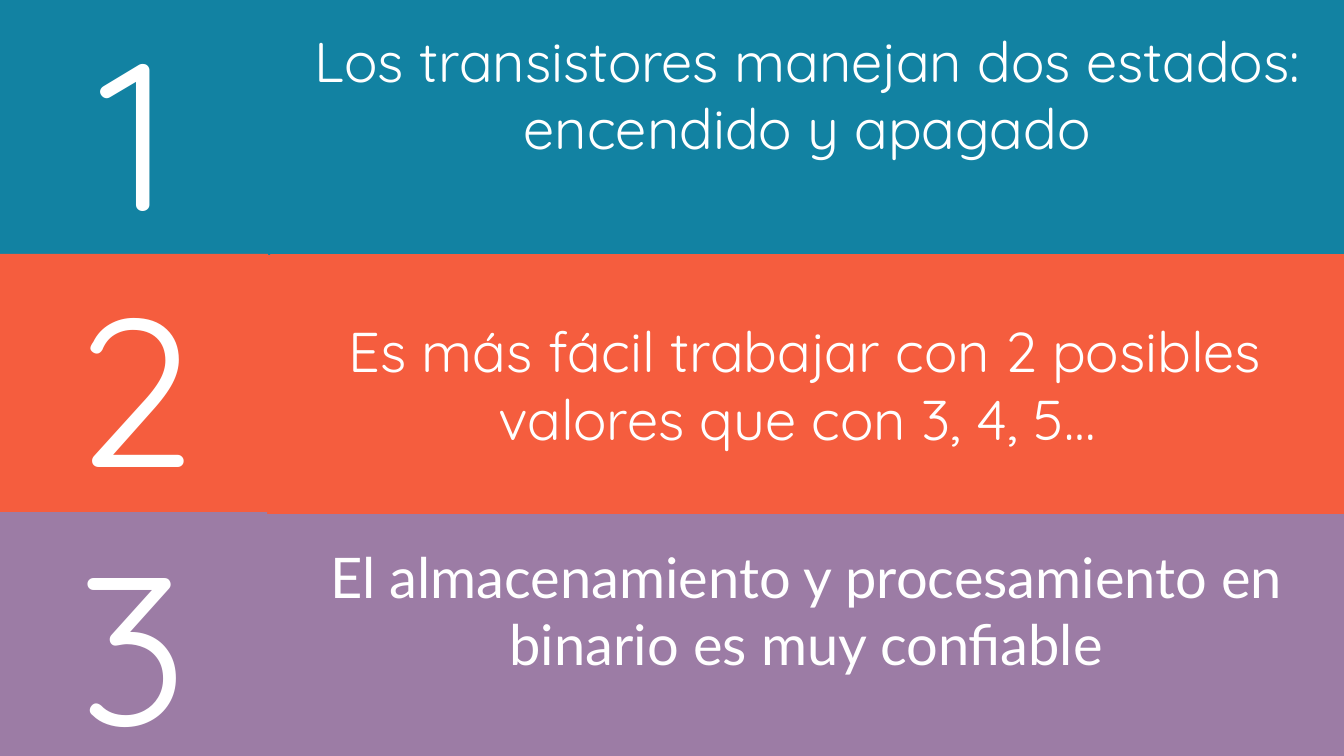
from pptx import Presentation
from pptx import util as u
from pptx.dml.color import RGBColor
from pptx.enum import shapes, text

TEAL = RGBColor(0x12, 0x82, 0xA2)
ORANGE = RGBColor(0xF5, 0x5D, 0x3E)
PURPLE = RGBColor(0x9C, 0x7C, 0xA5)
WHITE = RGBColor(0xFF, 0xFF, 0xFF)

PAD = 0.05
RAISED = 0.72  # bottom inset that lifts a statement by half a line


class Panels:
    """Holds the text style and the slide being filled."""

    def __init__(self, slide, font):
        self.slide = slide
        self.font = font

    def block(self, box, fill, words, size, font=None, bottom=PAD):
        sp = self.slide.shapes.add_shape(
            shapes.MSO_SHAPE.RECTANGLE, *(u.Inches(v) for v in box))
        sp.shadow.inherit = False
        sp.fill.solid()
        sp.fill.fore_color.rgb = fill
        sp.line.fill.background()
        tf = sp.text_frame
        frame = {"word_wrap": True, "margin_bottom": u.Inches(bottom),
                 "vertical_anchor": text.MSO_ANCHOR.MIDDLE}
        for name, value in frame.items():
            setattr(tf, name, value)
        p = tf.paragraphs[0]
        p.alignment = text.PP_ALIGN.CENTER
        r = p.add_run()
        r.text = words
        for name, value in {"name": font or self.font, "size": u.Pt(size)}.items():
            setattr(r.font, name, value)
        r.font.color.rgb = WHITE

    def statement(self, box, fill, words, font=None, bottom=PAD):
        self.block(box, fill, words, 40, font, bottom)

    def number(self, box, fill, digit):
        self.block(box, fill, digit, 150)


def main():
    prs = Presentation()
    prs.slide_width, prs.slide_height = u.Inches(13.33), u.Inches(7.5)
    s = prs.slides.add_slide(prs.slide_layouts[6])
    panels = Panels(s, "Quicksand")

    # Statements, stacked from back to front
    panels.statement((2.62, 2.52, 10.72, 2.58), ORANGE,
                     "Es más fácil trabajar con 2 posibles valores que con 3, 4, 5… ")
    panels.statement((2.65, 5.1, 10.69, 2.56), PURPLE,
                     "El almacenamiento y procesamiento en binario es muy confiable",
                     font="Lato", bottom=RAISED)
    panels.statement((2.67, 0, 10.67, 2.52), TEAL,
                     "Los transistores manejan dos estados: encendido y apagado",
                     bottom=RAISED)

    # Numbers down the left side
    tiles = [((-0.01, -0.01, 2.69, 2.54), TEAL),
             ((-0.01, 2.52, 2.67, 2.56), ORANGE),
             ((0, 5.08, 2.65, 2.56), PURPLE)]
    for i, (box, fill) in enumerate(tiles, 1):
        panels.number(box, fill, str(i))

    prs.save("out.pptx")


if __name__ == "__main__":
    main()
